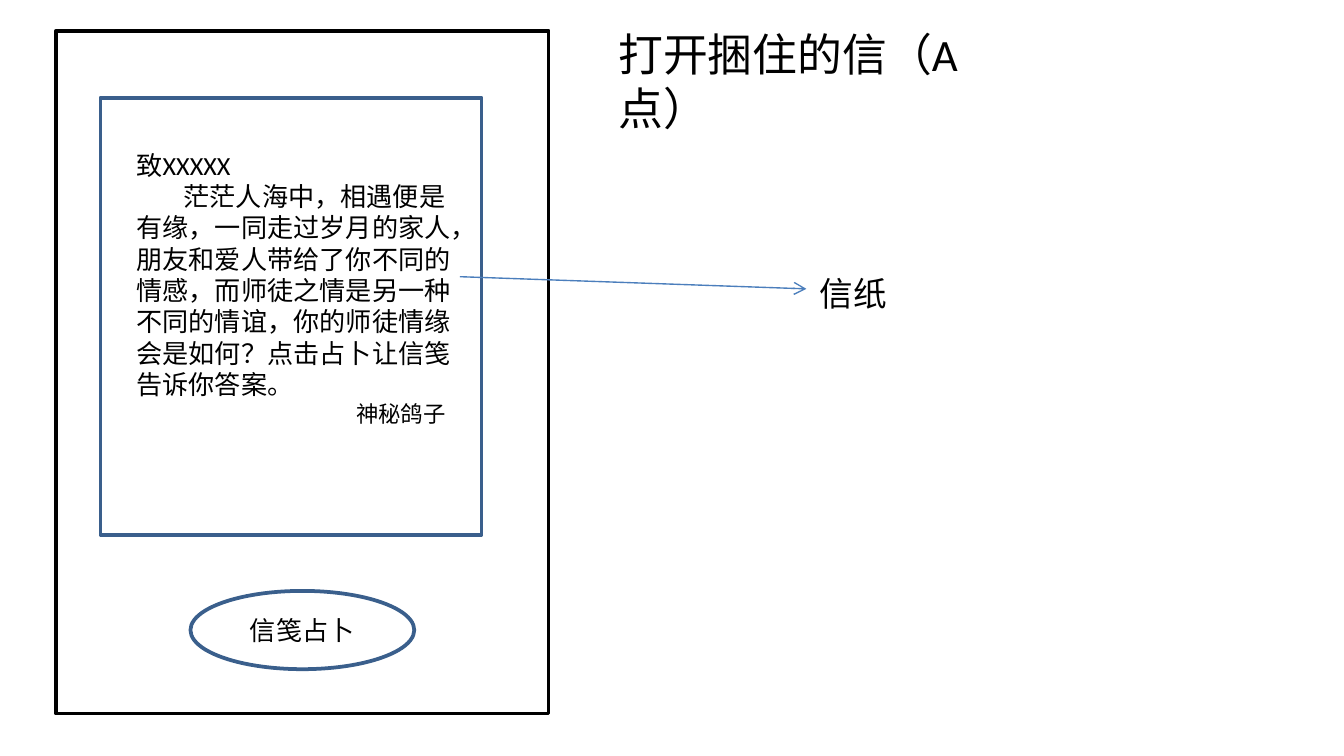
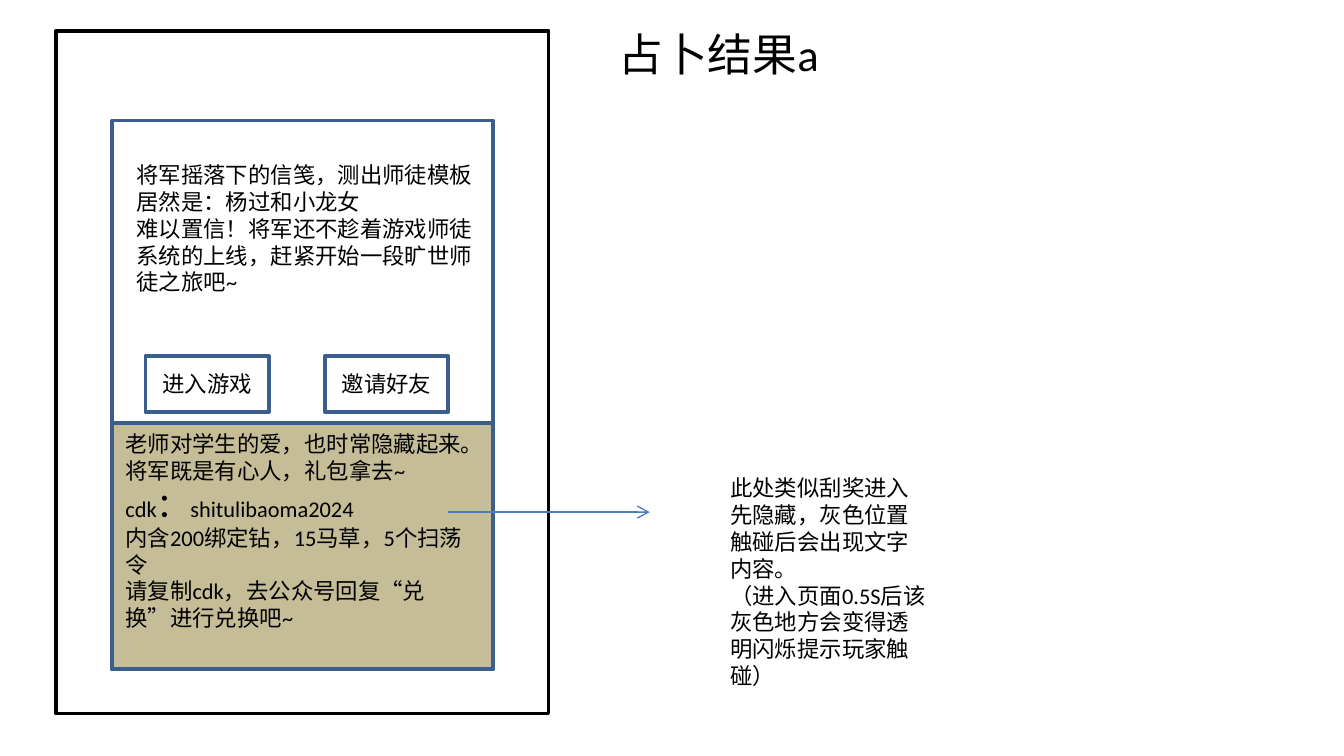
from lxml.etree import SubElement
from pptx import Presentation
from pptx.dml.color import RGBColor
from pptx.enum.shapes import MSO_CONNECTOR, MSO_SHAPE
from pptx.enum.text import MSO_ANCHOR, MSO_AUTO_SIZE, PP_ALIGN
from pptx.oxml.ns import qn
from pptx.util import Cm, Pt

BLACK = RGBColor(0x00, 0x00, 0x00)
WHITE = RGBColor(0xFF, 0xFF, 0xFF)
BORDER = RGBColor(0x3A, 0x5F, 0x8C)
ARROW = RGBColor(0x4B, 0x7E, 0xBC)
SCRATCH = RGBColor(0xC4, 0xBD, 0x97)
FONT = "Calibri"

# Content: a paragraph is a string, or a list of (text, size) runs
LETTER_TITLE = "打开捆住的信（A点）"
LETTER = [
    "致XXXXX",
    "茫茫人海中，相遇便是有缘，一同走过岁月的家人，朋友和爱人带给了你不同的情感，"
    "而师徒之情是另一种不同的情谊，你的师徒情缘会是如何？点击占卜让信笺告诉你答案。",
    [("神秘鸽子", 12)],
]
RESULT_TITLE = "占卜结果a"
RESULT = [
    "将军摇落下的信笺，测出师徒模板居然是：杨过和小龙女",
    "难以置信！将军还不趁着游戏师徒系统的上线，赶紧开始一段旷世师徒之旅吧~",
]
BUTTONS = ["进入游戏", "邀请好友"]
GIFT = [
    "老师对学生的爱，也时常隐藏起来。",
    "将军既是有心人，礼包拿去~",
    [("cdk", 12), ("：", 18), ("shitulibaoma2024", 12)],
    "内含200绑定钻，15马草，5个扫荡令",
    "请复制cdk，去公众号回复“兑换”进行兑换吧~",
]
SCRATCH_NOTE = [
    "此处类似刮奖进入先隐藏，灰色位置触碰后会出现文字内容。",
    "（进入页面0.5S后该灰色地方会变得透明闪烁提示玩家触碰）",
]

# Shared places in cm: left, top, width, height
PHONE = (1.06, 0.58, 9.31, 12.91)
TITLE_LEFT, TITLE_TOP, TITLE_HEIGHT = 11.43, 0.38, 1.27
PANEL_LEFT, PANEL_WIDTH, PANEL_BOTTOM = 2.12, 7.2, 12.65
GIFT_TOP = 8.0
BUTTON_LEFT, BUTTON_STEP = 2.75, 3.39


def write(frame, paragraphs, size, align=PP_ALIGN.LEFT):
    frame.word_wrap = True
    for index, content in enumerate(paragraphs):
        para = frame.paragraphs[0] if index == 0 else frame.add_paragraph()
        para.alignment = align
        runs = [(content, size)] if isinstance(content, str) else content
        for text, points in runs:
            span = para.add_run()
            span.text = text
            span.font.size = Pt(points)
            span.font.name = FONT
            span.font.color.rgb = BLACK


def add_box(page, place, text=None, size=12, kind=MSO_SHAPE.RECTANGLE,
            fill=WHITE, line=BORDER):
    box = page.shapes.add_shape(kind, *map(Cm, place))
    box.shadow.inherit = False
    box.fill.solid()
    box.fill.fore_color.rgb = fill
    box.line.color.rgb = line
    box.line.width = Pt(2)
    if text:
        box.text_frame.vertical_anchor = MSO_ANCHOR.MIDDLE
        write(box.text_frame, [text], size, PP_ALIGN.CENTER)


def add_text(page, place, paragraphs, size):
    frame = page.shapes.add_textbox(*map(Cm, place)).text_frame
    write(frame, paragraphs, size)
    return frame


def add_arrow(page, *ends):
    arrow = page.shapes.add_connector(MSO_CONNECTOR.STRAIGHT, *map(Cm, ends))
    arrow.line.color.rgb = ARROW
    arrow.line.width = Pt(0.75)
    SubElement(arrow.line._get_or_add_ln(), qn("a:tailEnd"), type="arrow")
    SubElement(arrow._element.spPr, qn("a:effectLst"))


def indent(para, left, first):
    properties = para._p.get_or_add_pPr()
    properties.set("marL", str(Cm(left)))
    properties.set("indent", str(Cm(first)))


def add_page(deck, heading, title_width):
    page = deck.slides.add_slide(deck.slide_layouts[5])
    title = page.shapes.title
    title.left, title.top = Cm(TITLE_LEFT), Cm(TITLE_TOP)
    title.width, title.height = Cm(title_width), Cm(TITLE_HEIGHT)
    title.text_frame.auto_size = MSO_AUTO_SIZE.NONE
    title.text_frame.vertical_anchor = MSO_ANCHOR.TOP
    write(title.text_frame, [heading], 24)
    add_box(page, PHONE, line=BLACK)
    return page


def build_letter(deck):
    page = add_page(deck, LETTER_TITLE, 8.26)
    add_box(page, (1.9, 1.85, PANEL_WIDTH, 8.26))
    add_arrow(page, 8.69, 5.23, 15.24, 5.46)
    add_text(page, (15.24, 5.03, 4.65, 1.02), ["信纸"], 18)
    frame = add_text(page, (2.33, 2.69, 6.56, 5.56), LETTER, 14)
    _, body, signature = frame.paragraphs
    indent(body, 0, 0.89)
    indent(signature, 4.15, 0)
    add_box(page, (3.6, 11.17, 4.23, 1.48), "信笺占卜", 14, MSO_SHAPE.OVAL)


def build_result(deck):
    page = add_page(deck, RESULT_TITLE, 6.35)
    panel_top = 2.28
    add_box(page, (PANEL_LEFT, panel_top, PANEL_WIDTH, PANEL_BOTTOM - panel_top))
    add_text(page, (2.33, 2.92, 6.98, 3.33), RESULT, 12)
    for index, label in enumerate(BUTTONS):
        add_box(page, (BUTTON_LEFT + index * BUTTON_STEP, 6.73, 2.33, 1.06), label)
    # Scratch area with the hidden gift code
    add_box(page, (PANEL_LEFT, GIFT_TOP, PANEL_WIDTH, PANEL_BOTTOM - GIFT_TOP),
            fill=SCRATCH)
    add_text(page, (PANEL_LEFT, GIFT_TOP, 6.98, 4.11), GIFT, 12)
    add_arrow(page, 8.47, 9.68, 12.28, 9.68)
    add_text(page, (13.55, 8.84, 4.23, 4.37), SCRATCH_NOTE, 12)


def main():
    deck = Presentation()
    deck.slide_width, deck.slide_height = Cm(25.4), Cm(14.29)
    build_letter(deck)
    build_result(deck)
    deck.save("out.pptx")


if __name__ == "__main__":
    main()
